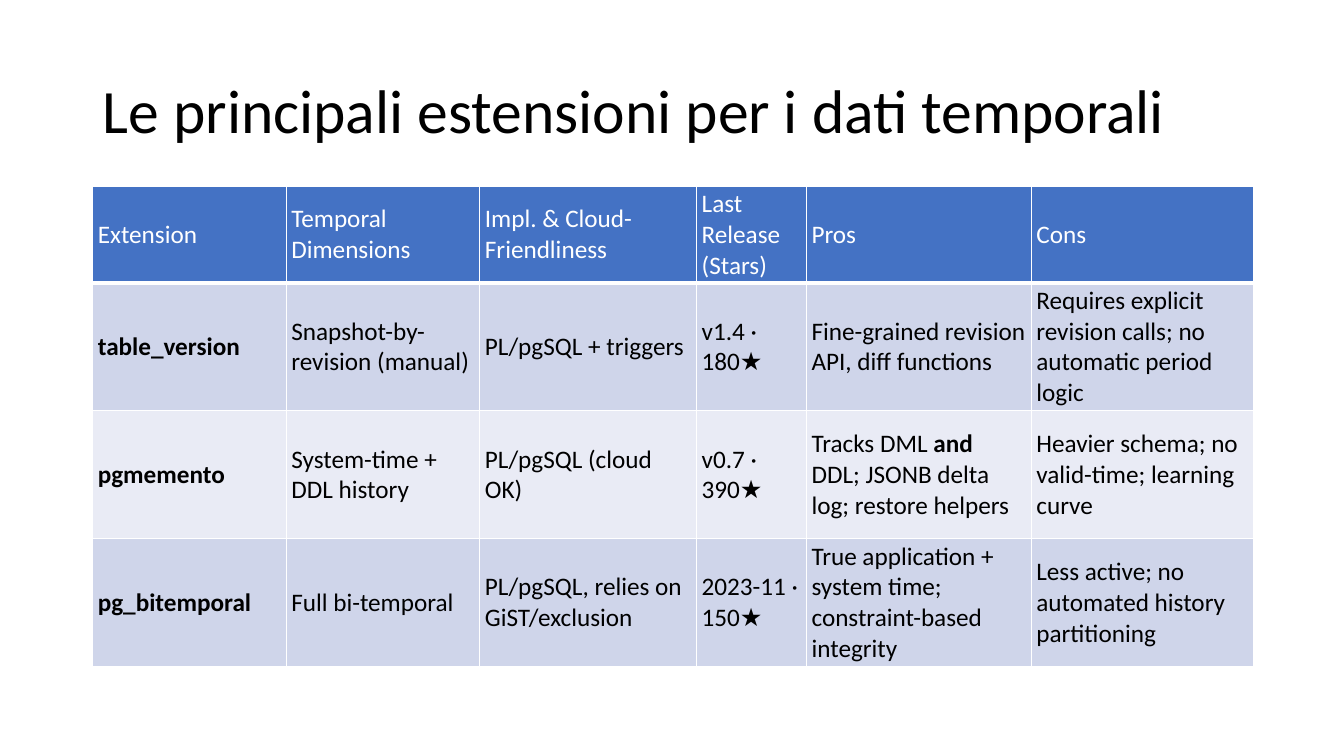
from lxml import etree
from pptx import Presentation
from pptx.dml.color import RGBColor
from pptx.enum.text import MSO_ANCHOR, PP_ALIGN
from pptx.oxml.ns import qn
from pptx.util import Inches, Pt

MIDDLE = MSO_ANCHOR.MIDDLE
LEFT_ALIGN = PP_ALIGN.LEFT

TITLE = "Le principali estensioni per i dati temporali"
ROWS = [
    ["Extension", "Temporal Dimensions", "Impl. & Cloud-Friendliness",
     "Last Release (Stars)", "Pros", "Cons"],
    ["*table_version*", "Snapshot-by-revision (manual)", "PL/pgSQL + triggers",
     "v1.4 · 180★", "Fine-grained revision API, diff functions",
     "Requires explicit revision calls; no automatic period logic"],
    ["*pgmemento*", "System-time + DDL history", "PL/pgSQL (cloud OK)",
     "v0.7 · 390★", "Tracks DML *and* DDL; JSONB delta log; restore helpers",
     "Heavier schema; no valid-time; learning curve"],
    ["*pg_bitemporal*", "Full bi-temporal", "PL/pgSQL, relies on GiST/exclusion",
     "2023-11 · 150★", "True application + system time; constraint-based integrity",
     "Less active; no automated history partitioning"],
]
COL_WIDTHS = [1.92, 1.92, 2.15, 1.09, 2.23, 2.2]
HEADER_HEIGHT, BODY_HEIGHT = 0.95, 1.27
LEFT, WIDTH = 0.92, 11.5
TITLE_TOP, TITLE_HEIGHT = 0.4, 1.45
HEADER_FILL, BAND_FILLS = "4472C4", ["E9EBF5", "CFD5EA"]
WHITE, BLACK = "FFFFFF", "000000"
FONT = "Calibri"


def rgb(value):
    """Return the colour for a hex string."""
    return RGBColor.from_string(value)


def add_run(p, text, size, color, bold=False):
    """Add one formatted run to a paragraph."""
    r = p.add_run()
    r.text = text
    r.font.name, r.font.size, r.font.bold = FONT, Pt(size), bold
    r.font.color.rgb = rgb(color)


def add_borders(cell, bottom):
    """Draw white lines round a cell, the lower one of the given width."""
    tc_pr = cell._tc.get_or_add_tcPr()
    for side, width in (("L", 1), ("R", 1), ("T", 1), ("B", bottom)):
        ln = etree.SubElement(tc_pr, qn(f"a:ln{side}"), w=str(Pt(width)))
        fill = etree.SubElement(ln, qn("a:solidFill"))
        etree.SubElement(fill, qn("a:srgbClr"), val=WHITE)


def fill_cell(cell, text, row):
    """Write and format one table cell; asterisks enclose bold text."""
    header = row == 0
    add_borders(cell, 3 if header else 1)
    cell.fill.solid()
    cell.fill.fore_color.rgb = rgb(HEADER_FILL if header else BAND_FILLS[row % 2])
    cell.vertical_anchor = MIDDLE
    cell.margin_left = cell.margin_right = Inches(0.05)
    cell.margin_top = cell.margin_bottom = Inches(0.02)
    p = cell.text_frame.paragraphs[0]
    for i, part in enumerate(text.split("*")):
        if part:
            add_run(p, part, 18, WHITE if header else BLACK, i % 2 == 1)


def add_title(s):
    """Place and format the title."""
    sp = s.shapes.title
    sp.left, sp.top = Inches(LEFT), Inches(TITLE_TOP)
    sp.width, sp.height = Inches(WIDTH), Inches(TITLE_HEIGHT)
    tf = sp.text_frame
    tf.word_wrap, tf.vertical_anchor = True, MIDDLE
    p = tf.paragraphs[0]
    p.alignment, p.line_spacing = LEFT_ALIGN, 0.9
    add_run(p, TITLE, 44, BLACK)


def add_comparison(s):
    """Build the table of extensions below the title."""
    heights = [HEADER_HEIGHT] + [BODY_HEIGHT] * (len(ROWS) - 1)
    table = s.shapes.add_table(
        len(ROWS), len(COL_WIDTHS), Inches(LEFT), Inches(TITLE_TOP + TITLE_HEIGHT),
        Inches(WIDTH), Inches(sum(heights))).table
    for column, width in zip(table.columns, COL_WIDTHS):
        column.width = Inches(width)
    for r, (height, texts) in enumerate(zip(heights, ROWS)):
        table.rows[r].height = Inches(height)
        for c, text in enumerate(texts):
            fill_cell(table.cell(r, c), text, r)


def main():
    """Build and save the slide."""
    prs = Presentation()
    prs.slide_width, prs.slide_height = Inches(13.33), Inches(7.5)
    s = prs.slides.add_slide(prs.slide_layouts[5])
    add_title(s)
    add_comparison(s)
    prs.save("out.pptx")


if __name__ == "__main__":
    main()
